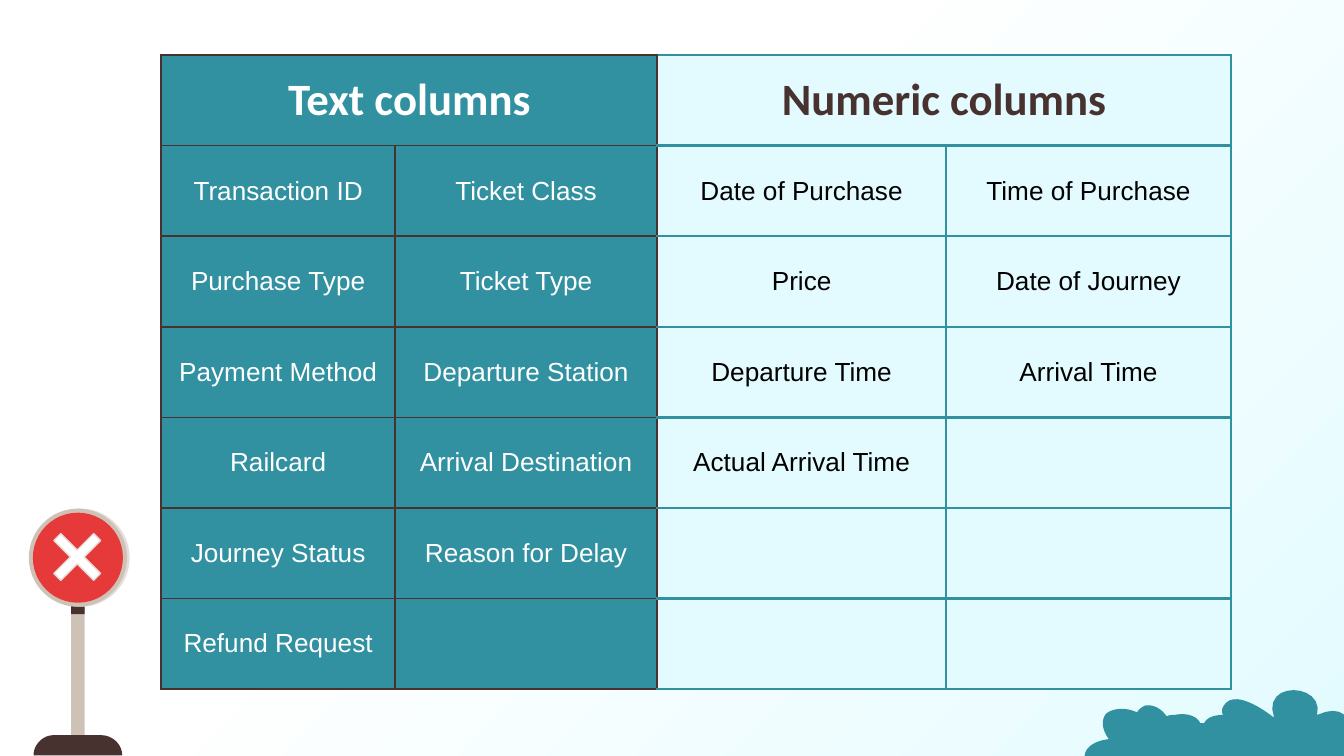
from dataclasses import dataclass

from pptx import Presentation
from pptx.dml.color import RGBColor
from pptx.enum.shapes import MSO_SHAPE as Shape
from pptx.enum.text import MSO_ANCHOR as Anchor, PP_ALIGN as Align
from pptx.oxml import parse_xml
from pptx.oxml.ns import nsdecls
from pptx.slide import Slide
from pptx.util import Inches, Pt

TEAL = RGBColor(0x31, 0x91, 0xA0)
ICE = RGBColor(0xE3, 0xFB, 0xFF)
BROWN = RGBColor(0x47, 0x32, 0x2F)
WHITE = RGBColor(0xFF, 0xFF, 0xFF)
BLACK = RGBColor(0x00, 0x00, 0x00)
BEIGE = RGBColor(0xCE, 0xC2, 0xB6)
PALE = RGBColor(0xE5, 0xDD, 0xD9)
RED = RGBColor(0xE5, 0x3A, 0x39)

HEADINGS = ["Text columns", "", "Numeric columns", ""]
FIELDS = [
    ["Transaction ID", "Ticket Class", "Date of Purchase", "Time of Purchase"],
    ["Purchase Type", "Ticket Type", "Price", "Date of Journey"],
    ["Payment Method", "Departure Station", "Departure Time", "Arrival Time"],
    ["Railcard", "Arrival Destination", "Actual Arrival Time", ""],
    ["Journey Status", "Reason for Delay", "", ""],
    ["Refund Request", "", "", ""],
]
COLUMN_WIDTHS = [1.74, 1.95, 2.15, 2.12]
ROW_HEIGHT = 4.72 / 7

BUSH = [
    (8.07, 5.63),
    (8.07, 5.56, 8.15, 5.51, 8.25, 5.5),
    (8.2, 5.43, 8.19, 5.36, 8.23, 5.31),
    (8.28, 5.27, 8.37, 5.26, 8.46, 5.3),
    (8.48, 5.27, 8.5, 5.26, 8.52, 5.25),
    (8.58, 5.24, 8.64, 5.27, 8.68, 5.33),
    (8.7, 5.32, 8.72, 5.32, 8.74, 5.32),
    (8.83, 5.3, 8.91, 5.33, 8.93, 5.38),
    (8.96, 5.38),
    (8.98, 5.34, 9.03, 5.32, 9.1, 5.32),
    (9.09, 5.3, 9.09, 5.28, 9.1, 5.26),
    (9.17, 5.12, 9.39, 5.27, 9.48, 5.34),
    (9.38, 5.06, 9.86, 5.08, 9.8, 5.32),
    (10.08, 5.19, 10.1, 5.51, 10, 5.63),
]
SIGN_BASE = [
    (0.4, 5.47),
    (0.32, 5.47, 0.25, 5.54, 0.25, 5.62),
    (0.91, 5.62),
    (0.91, 5.54, 0.84, 5.47, 0.75, 5.47),
]


def trace(outline, steps=12):
    """Turn line ends and cubic curves into a list of points."""
    points = [outline[0]]
    for segment in outline[1:]:
        if len(segment) == 2:
            points.append(segment)
            continue
        corners = [points[-1], segment[:2], segment[2:4], segment[4:]]
        for step in range(1, steps + 1):
            t = step / steps
            weights = [(1 - t) ** 3, 3 * t * (1 - t) ** 2, 3 * t**2 * (1 - t), t**3]
            points.append(tuple(
                sum(weight * corner[axis] for weight, corner in zip(weights, corners))
                for axis in (0, 1)
            ))
    return points


@dataclass
class SlideBuilder:
    """Draws styled elements on the current slide."""

    slide: Slide
    heading_font: str = "Calibri"
    body_font: str = "Arial"
    heading_size: int = 24
    body_size: int = 14

    def background(self, start, end):
        fill = self.slide.background.fill
        fill.gradient()
        fill.gradient_angle = 315
        for stop, color, position in zip(fill.gradient_stops, (start, end), (0.41, 1)):
            stop.color.rgb = color
            stop.position = position

    def paint(self, shape, color, outline=None):
        shape.shadow.inherit = False
        shape.fill.solid()
        shape.fill.fore_color.rgb = color
        if outline is None:
            shape.line.fill.background()
        else:
            shape.line.color.rgb = outline
            shape.line.width = Pt(0.75)
        return shape

    def shape(self, kind, left, top, width, height, color, outline=None):
        box = map(Inches, (left, top, width, height))
        return self.paint(self.slide.shapes.add_shape(kind, *box), color, outline)

    def disc(self, center_x, center_y, diameter, color):
        radius = diameter / 2
        self.shape(Shape.OVAL, center_x - radius, center_y - radius, diameter, diameter, color)

    def freeform(self, outline, color):
        points = [(Inches(x), Inches(y)) for x, y in trace(outline)]
        builder = self.slide.shapes.build_freeform(*points[0])
        builder.add_line_segments(points[1:], close=True)
        self.paint(builder.convert_to_shape(), color)

    def border(self, cell, side, color, width):
        cell._tc.get_or_add_tcPr().append(parse_xml(
            f'<a:ln{side} {nsdecls("a")} w="{Pt(width)}"><a:solidFill>'
            f'<a:srgbClr val="{color}"/></a:solidFill></a:ln{side}>'
        ))

    def cell(self, cell, text, row, column):
        numeric, heading = column >= 2, row == 0
        for side in "LRTB":
            teal_edge = numeric and not (side == "L" and column == 2)
            self.border(cell, side, *((TEAL, 1.5) if teal_edge else (BROWN, 1)))
        cell.fill.solid()
        cell.fill.fore_color.rgb = ICE if numeric else TEAL
        cell.vertical_anchor = Anchor.MIDDLE
        cell.margin_left = cell.margin_right = Inches(0.1)
        cell.margin_top = cell.margin_bottom = Inches(0.1)
        cell.text = text
        paragraph = cell.text_frame.paragraphs[0]
        paragraph.alignment = Align.CENTER
        font = paragraph.font
        font.name = self.heading_font if heading else self.body_font
        font.size = Pt(self.heading_size if heading else self.body_size)
        font.bold = heading
        font.color.rgb = (BROWN if heading else BLACK) if numeric else WHITE

    def table(self, left, top, rows, widths, row_height):
        box = map(Inches, (left, top, sum(widths), row_height * len(rows)))
        table = self.slide.shapes.add_table(len(rows), len(widths), *box).table
        for column, width in zip(table.columns, widths):
            column.width = Inches(width)
        for row_index, texts in enumerate(rows):
            table.rows[row_index].height = Inches(row_height)
            for column_index, text in enumerate(texts):
                self.cell(table.cell(row_index, column_index), text, row_index, column_index)
        for first in (0, 2):
            table.cell(0, first).merge(table.cell(0, first + 1))


def main():
    presentation = Presentation()
    presentation.slide_width = Inches(10)
    presentation.slide_height = Inches(5.625)
    builder = SlideBuilder(presentation.slides.add_slide(presentation.slide_layouts[6]))

    builder.background(WHITE, ICE)
    builder.table(1.2, 0.41, [HEADINGS, *FIELDS], COLUMN_WIDTHS, ROW_HEIGHT)
    builder.freeform(BUSH, TEAL)

    builder.shape(Shape.RECTANGLE, 0.53, 4.32, 0.1, 1.15, BEIGE)
    builder.shape(Shape.RECTANGLE, 0.53, 4.51, 0.1, 0.06, BROWN)
    builder.freeform(SIGN_BASE, BROWN)
    builder.disc(0.6, 4.15, 0.73, PALE)
    builder.disc(0.58, 4.15, 0.73, BEIGE)
    builder.disc(0.58, 4.15, 0.67, RED)
    cross = builder.shape(Shape.MATH_MULTIPLY, 0.29, 3.86, 0.57, 0.57, WHITE, PALE)
    cross.adjustments[0] = 0.128

    presentation.save("out.pptx")


if __name__ == "__main__":
    main()
